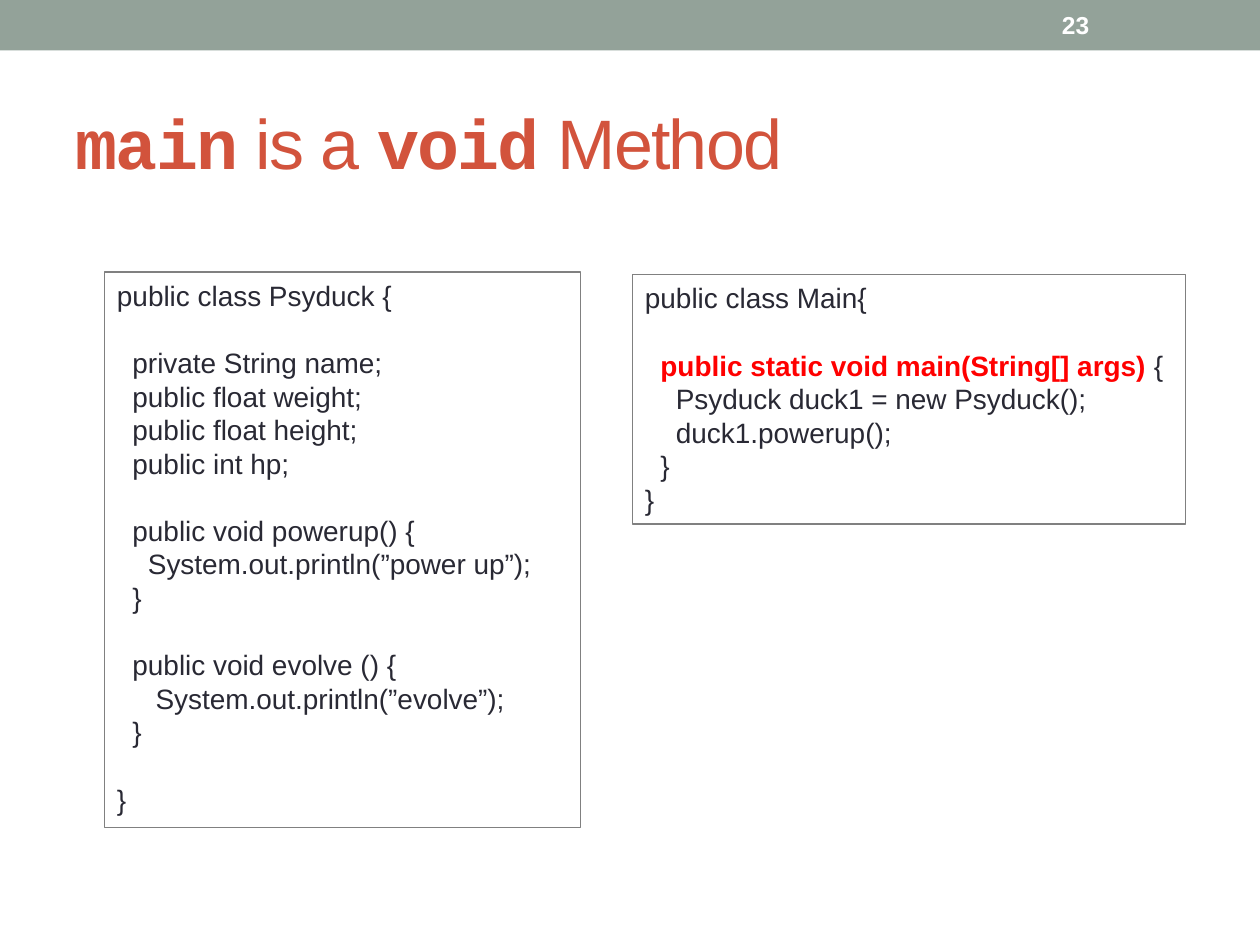
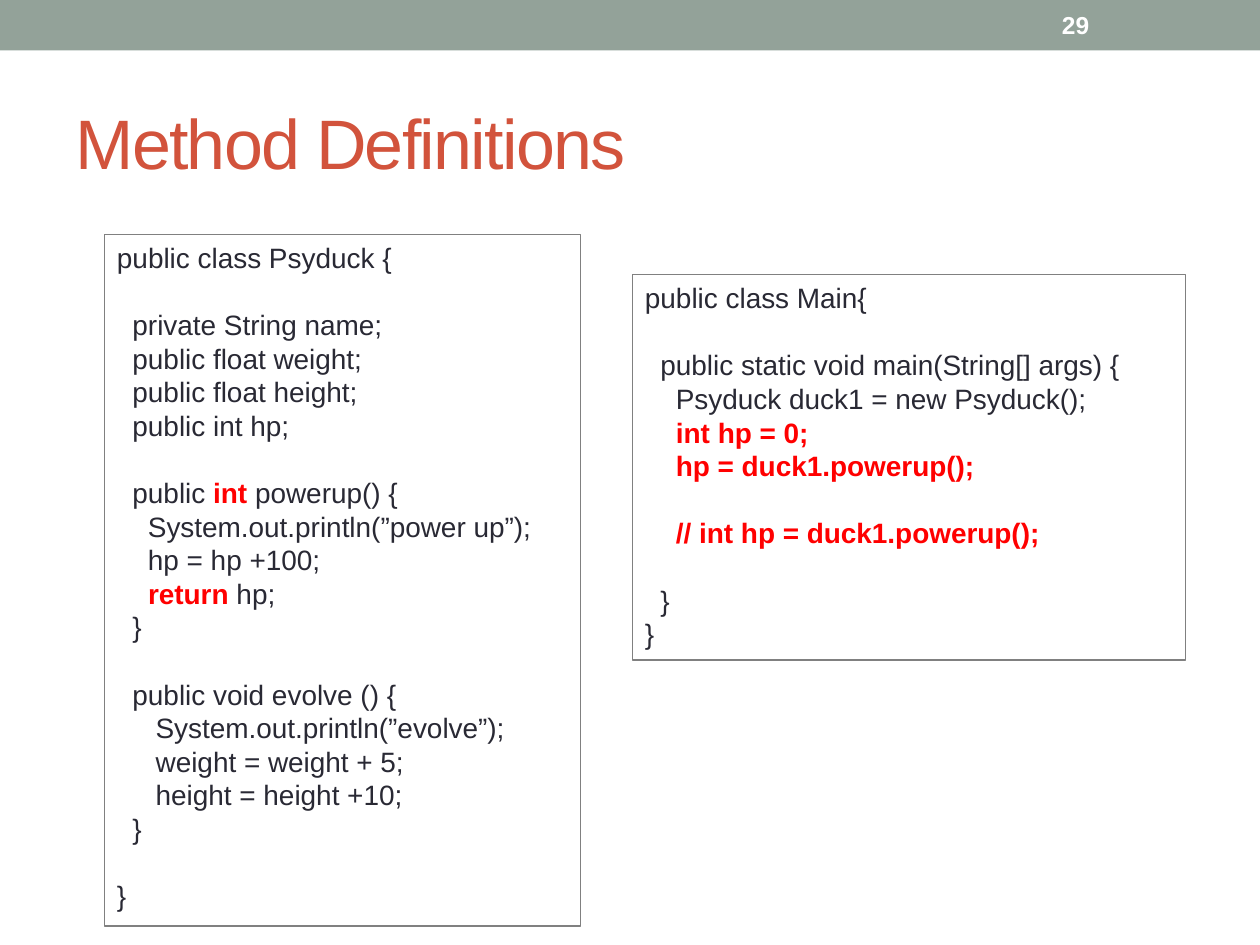
from pptx import Presentation
from pptx import util as u
from pptx.dml.color import RGBColor
from pptx.enum import shapes, text

COLS, ROWS = 100, 75
LINE = 19.2  # code line pitch in points


def rgb(code):
    return RGBColor.from_string(code)


class Deck:
    """Holds the style and the current slide."""
    sans, mono = "Arial", "Courier New"
    band, head, ink, hot, edge, white = (
        "93A299", "D2533C", "292934", "FF0000", "808080", "FFFFFF")

    def __init__(self):
        self.prs = Presentation()
        self.prs.slide_width, self.prs.slide_height = u.Inches(10), u.Inches(7.5)
        self.slide = None

    def grid(self, col, row, wide, high):
        dx, dy = self.prs.slide_width / COLS, self.prs.slide_height / ROWS
        return [round(n) for n in (col * dx, row * dy, wide * dx, high * dy)]

    def run(self, para, words, size, color, bold=False, font=None):
        run = para.add_run()
        run.text = words
        run.font.name = font or self.sans
        run.font.size = u.Pt(size)
        run.font.bold = bold
        run.font.color.rgb = rgb(color)
        return run

    def rect(self, *cells):
        box = self.slide.shapes.add_shape(
            shapes.MSO_SHAPE.RECTANGLE, *self.grid(*cells))
        box.shadow.inherit = False
        return box

    def page(self, number, title):
        self.slide = self.prs.slides.add_slide(self.prs.slide_layouts[5])
        # Band with the slide number
        band = self.rect(0, 0, COLS, 4)
        band.fill.solid()
        band.fill.fore_color.rgb = rgb(self.band)
        band.line.fill.background()
        box = self.slide.shapes.add_textbox(*self.grid(83.3, 0.2, 11.7, 3.6))
        frame = box.text_frame
        frame.word_wrap = True
        frame.vertical_anchor = text.MSO_ANCHOR.MIDDLE
        self.run(frame.paragraphs[0], str(number), 14, self.white, True)
        self.title(title)

    def title(self, words):
        """Parts between ~ marks are set as code."""
        box = self.slide.shapes.title
        box.left, box.top, box.width, box.height = self.grid(5, 5.8, 90, 10.8)
        frame = box.text_frame
        frame.word_wrap = True
        frame.auto_size = text.MSO_AUTO_SIZE.NONE
        frame.vertical_anchor = text.MSO_ANCHOR.MIDDLE
        para = frame.paragraphs[0]
        para.alignment = text.PP_ALIGN.LEFT
        for i, part in enumerate(words.split("~")):
            if part:
                code = i % 2 == 1
                run = self.run(para, part, 40, self.head, code,
                               self.mono if code else self.sans)
                run.font._element.set("spc", "-100")

    def code(self, col, row, wide, source):
        """Parts between ~ marks are bold red; a blank line becomes a gap."""
        lines = source.strip("\n").split("\n")
        box = self.rect(col, row, wide, 2.7 * len(lines) + 0.9)
        box.fill.background()
        box.line.color.rgb = rgb(self.edge)
        box.line.width = u.Pt(0.75)
        frame = box.text_frame
        frame.word_wrap = True
        frame.vertical_anchor = text.MSO_ANCHOR.TOP
        para, gap = frame.paragraphs[0], 0
        for n, line in enumerate(lines):
            if not line:
                gap += LINE
                continue
            if n:
                para = frame.add_paragraph()
            para.alignment = text.PP_ALIGN.LEFT
            para.line_spacing = u.Pt(LINE)
            para.space_before, gap = u.Pt(gap), 0
            for i, part in enumerate(line.split("~")):
                if part:
                    mark = i % 2 == 1
                    self.run(para, part, 16, self.hot if mark else self.ink, mark)

    def main_code(self, source):
        self.code(50.2, 21.8, 43.9, "public class Main{\n\n" + source)

    def duck_code(self, row, source):
        self.code(8.3, row, 37.8, FIELDS + source)


# Opening lines of the class on both slides
FIELDS = """public class Psyduck {

  private String name;
  public float weight;
  public float height;
  public int hp;

"""


def main():
    deck = Deck()

    # The main method
    deck.page(23, "~main~ is a ~void~ Method")
    deck.main_code("""  ~public static void main(String[] args)~ {
    Psyduck duck1 = new Psyduck();
    duck1.powerup();
  }
}""")
    deck.duck_code(21.6, """  public void powerup() {
    System.out.println(”power up”);
  }

  public void evolve () {
     System.out.println(”evolve”);
  }

}""")

    # Methods that return a value
    deck.page(29, "Method Definitions")
    deck.main_code("""  public static void main(String[] args) {
    Psyduck duck1 = new Psyduck();
    ~int hp = 0;~
~    hp = duck1.powerup();~

    ~// int hp = duck1.powerup();~

  }
}""")
    deck.duck_code(18.6, """  public ~int ~powerup() {
    System.out.println(”power up”);
    hp = hp +100;
    ~return ~hp;
  }

  public void evolve () {
     System.out.println(”evolve”);
     weight = weight + 5;
     height = height +10;
  }

}""")

    deck.prs.save("out.pptx")


if __name__ == "__main__":
    main()
